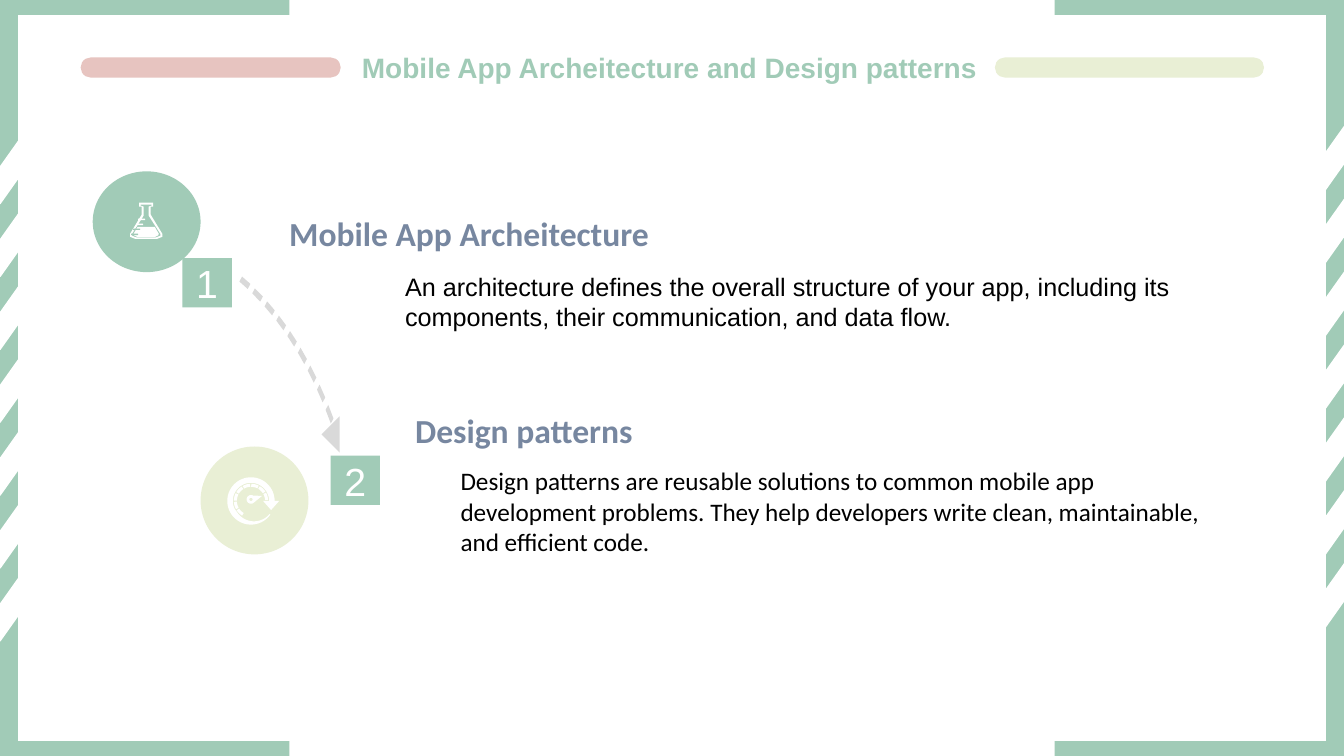
import math
import pptx
import pptx.util
import pptx.dml.color
import pptx.enum.shapes
import pptx.enum.text

GREEN, CREAM, PINK = "A1CBB7", "E9EFD5", "E7C4C0"
WHITE, GREY, SLATE, BLACK = "FFFFFF", "D9D9D9", "7787A0", "000000"
KIND = pptx.enum.shapes.MSO_SHAPE
ALIGN = pptx.enum.text.PP_ALIGN
ANCHOR = pptx.enum.text.MSO_ANCHOR
CELL = pptx.util.Inches(0.1)
COLUMNS, ROWS = 133.33, 75

deck = pptx.Presentation()
deck.slide_width, deck.slide_height = int(COLUMNS * CELL), ROWS * CELL
page = deck.slides.add_slide(deck.slide_layouts[5])


def draw(fill, cells, kind=None, line=None):
    if kind is None:
        contours = [[(x * CELL, y * CELL) for x, y in contour] for contour in cells]
        outline = page.shapes.build_freeform(*contours[0][0])
        outline.add_line_segments(contours[0][1:])
        for contour in contours[1:]:
            outline.move_to(*contour[0])
            outline.add_line_segments(contour[1:])
        shape = outline.convert_to_shape()
    else:
        shape = page.shapes.add_shape(kind, *[int(n * CELL) for n in cells])
    shape.shadow.inherit = False
    shape.fill.solid()
    shape.fill.fore_color.rgb = pptx.dml.color.RGBColor.from_string(fill)
    if line:
        shape.line.color.rgb = pptx.dml.color.RGBColor.from_string(line)
        shape.line.width = pptx.util.Pt(1)
    else:
        shape.line.fill.background()
    return shape


def write(text, box, size=18, font="Calibri", colour=BLACK, bold=False,
          align=ALIGN.LEFT, anchor=ANCHOR.TOP):
    frame = box.text_frame
    frame.word_wrap = True
    frame.auto_size = pptx.enum.text.MSO_AUTO_SIZE.NONE
    frame.vertical_anchor = anchor
    para = frame.paragraphs[0]
    para.alignment = align
    span = para.add_run()
    span.text = text
    span.font.size = pptx.util.Pt(size)
    span.font.name = font
    span.font.bold = bold
    span.font.color.rgb = pptx.dml.color.RGBColor.from_string(colour)


corner, side, edge = 28.7, 1.8, 1.5
draw(GREEN, (0, 0, COLUMNS, ROWS), KIND.RECTANGLE)
draw(WHITE, (corner, 0, COLUMNS - 2 * corner, ROWS), KIND.RECTANGLE)
draw(WHITE, (side, edge, COLUMNS - 2 * side, ROWS - 2 * edge), KIND.RECTANGLE)
stripe_pitch = 7.23
for left in (-2.4, 128.1):
    for step in range(7):
        place = (left, 14.9 + stripe_pitch * step, 7.7, 2.9)
        stripe = draw(WHITE, place, KIND.PARALLELOGRAM, WHITE)
        stripe.adjustments[0] = 1.41
        stripe.rotation = 270
        stripe.element.spPr.get_or_add_xfrm().set("flipH", "1")

for fill, left, width in ((PINK, 8, 25.8), (CREAM, 98.7, 26.7)):
    bar = draw(fill, (left, 5.7, width, 2), KIND.ROUNDED_RECTANGLE)
    bar.adjustments[0] = 0.5

title = page.shapes.title
title.left, title.top, title.width, title.height = [int(n * CELL) for n in (34.9, 4.5, 63.8, 4.3)]
title.element.getparent().append(title.element)
write("Mobile App Archeitecture and Design patterns", title, 20, "Arial", GREEN, True, ALIGN.JUSTIFY)

draw(GREEN, (9.2, 17, 10.7, 10), KIND.OVAL)
flask_axis = 14.5
half_profiles = {
    "glass": [(0.7, 20.1), (0.7, 20.5), (0.45, 20.5), (0.45, 21.3), (1.6, 23.2), (1.6, 23.5), (1.1, 23.7)],
    "hollow": [(0.55, 20.3), (0.55, 20.4), (0.25, 20.5), (0.25, 21.4), (1.4, 23.2), (1.4, 23.4), (1, 23.55)],
    "liquid": [(0.85, 22.5), (1.25, 23.2), (1.2, 23.35), (0.9, 23.5)],
}
flask = {}
for part, profile in half_profiles.items():
    right_half = [(flask_axis + reach, y) for reach, y in profile]
    left_half = [(flask_axis - reach, y) for reach, y in reversed(profile)]
    flask[part] = right_half + left_half
draw(WHITE, [flask["glass"], flask["hollow"]])
draw(WHITE, [flask["liquid"]])
for fill, left, top in ((WHITE, 13.7, 21.7), (WHITE, 13.5, 22.2), (GREEN, 13.2, 22.68), (GREEN, 13, 23.18)):
    draw(fill, (left, top, 0.7, 0.14), KIND.ROUNDED_RECTANGLE)

draw(CREAM, (19.9, 44.3, 10.7, 10.7), KIND.OVAL)
dial_x, dial_y = 24.9, 49.7
tick_starts = range(3, 240, 30)
arcs = {
    "rim": (dial_x, dial_y, 2.35, 0, 325),
    "crescent": (dial_x + 0.3, dial_y, 2.02, 212, 320),
    "bore": (dial_x, dial_y, 1.8, 0, 205),
    "knob": (dial_x, dial_y - 0.15, 0.43, 60, 305),
    "hub": (dial_x, dial_y - 0.15, 0.16, 0, 360),
}
for start in tick_starts:
    for ring, radius in (("outer", 1.7), ("inner", 1.4)):
        arcs[ring, start] = (dial_x, dial_y, radius, start, start + 26)
curves = {}
for name, (centre_x, centre_y, radius, first, last) in arcs.items():
    steps = math.ceil((last - first) / 6)
    angles = [math.radians(first + (last - first) * step / steps) for step in range(steps + 1)]
    curves[name] = [(centre_x + radius * math.cos(angle), centre_y - radius * math.sin(angle))
                    for angle in angles]
dial_tip = [(dial_x + reach, dial_y + drop) for reach, drop in ((1.2, 0), (2, 0.9), (2.8, 0))]
needle_tip = [(dial_x + 1.1, dial_y - 0.5)]
draw(WHITE, [curves["rim"] + curves["crescent"][::-1] + curves["bore"][::-1] + dial_tip])
draw(WHITE, [curves["outer", start] + curves["inner", start][::-1] for start in tick_starts])
draw(WHITE, [curves["knob"] + needle_tip, curves["hub"]])

for number, left, top in (("1", 18.1, 25.6), ("2", 32.8, 45.2)):
    badge = draw(GREEN, (left, top, 4.9, 4.9), KIND.RECTANGLE)
    write(number, badge, 28, "Arial", WHITE, align=ALIGN.CENTER, anchor=ANCHOR.MIDDLE)

half_dash, slant_x, slant_y = 0.32, 0.13, 0.25
for index in range(9):
    dash = []
    for shift, tilt in ((half_dash, -1), (half_dash, 1), (-half_dash, 1), (-half_dash, -1)):
        t = index + shift
        path_x = 24.3 + 1.29 * t - 0.03 * t ** 2
        path_y = 28.05 + 1.15 * t + 0.06 * t ** 2
        dash.append((path_x + tilt * slant_x, path_y - tilt * slant_y))
    draw(GREY, [dash])
head_right, head_middle, head_size = 33.7, 43.1, 1.8
draw(GREY, [[(head_right, head_middle - head_size), (head_right, head_middle + head_size),
             (head_right - head_size, head_middle)]])

heading = {"size": 24, "colour": SLATE, "bold": True}
texts = [
    ("Mobile App Archeitecture", (27.7, 20.6, 47.9, 5), heading),
    ("Design patterns", (40.2, 40.2, 25, 5), heading),
    ("An architecture defines the overall structure of your app, including its components, "
     "their communication, and data flow.", (39.2, 26.4, 79.3, 8.2), {"font": "Arial"}),
    ("Design patterns are reusable solutions to common mobile app development problems. "
     "They help developers write clean, maintainable, and efficient code.",
     (44.7, 45.7, 77.1, 10.1), {}),
]
for text, cells, style in texts:
    write(text, page.shapes.add_textbox(*[int(n * CELL) for n in cells]), **style)

deck.save("out.pptx")
